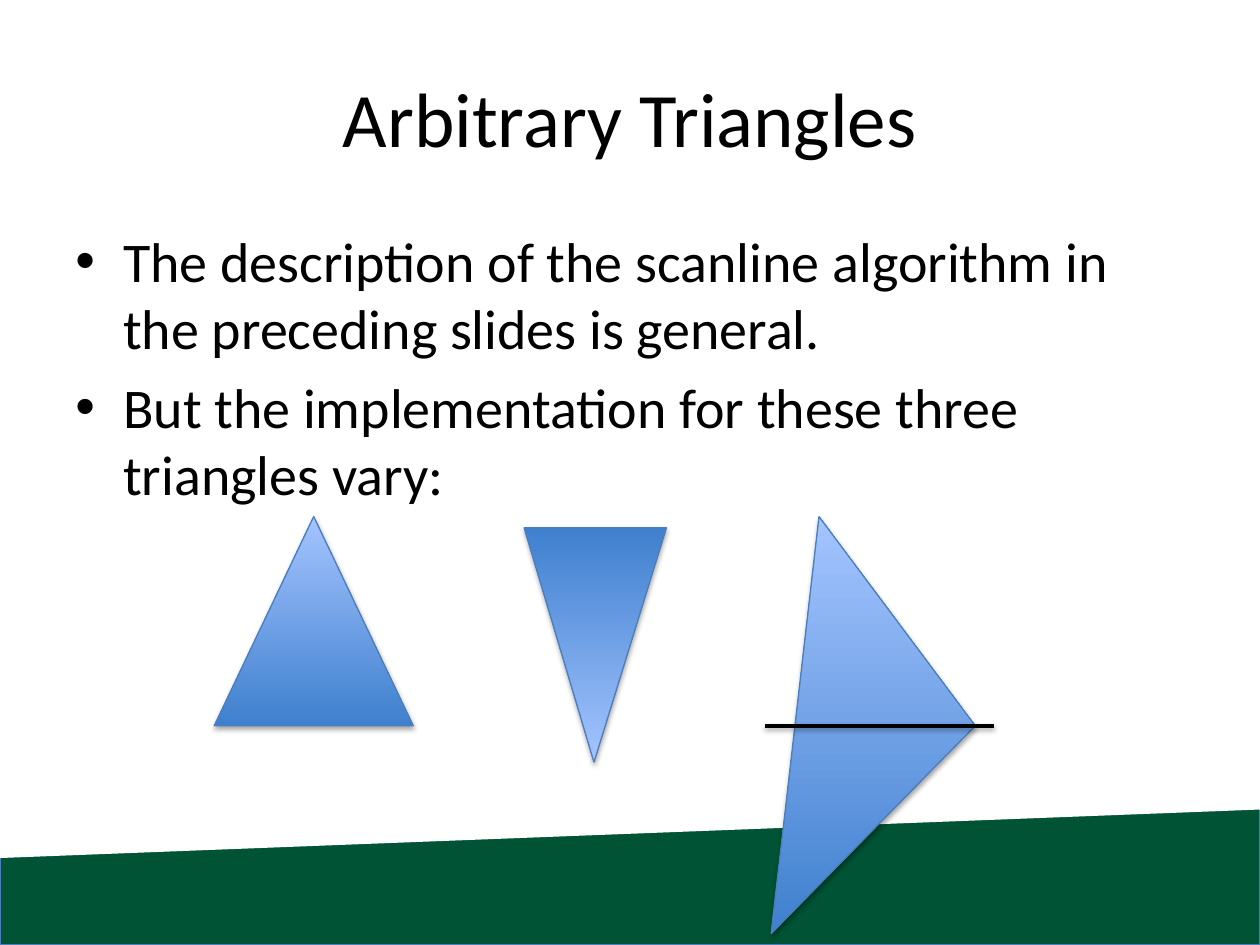
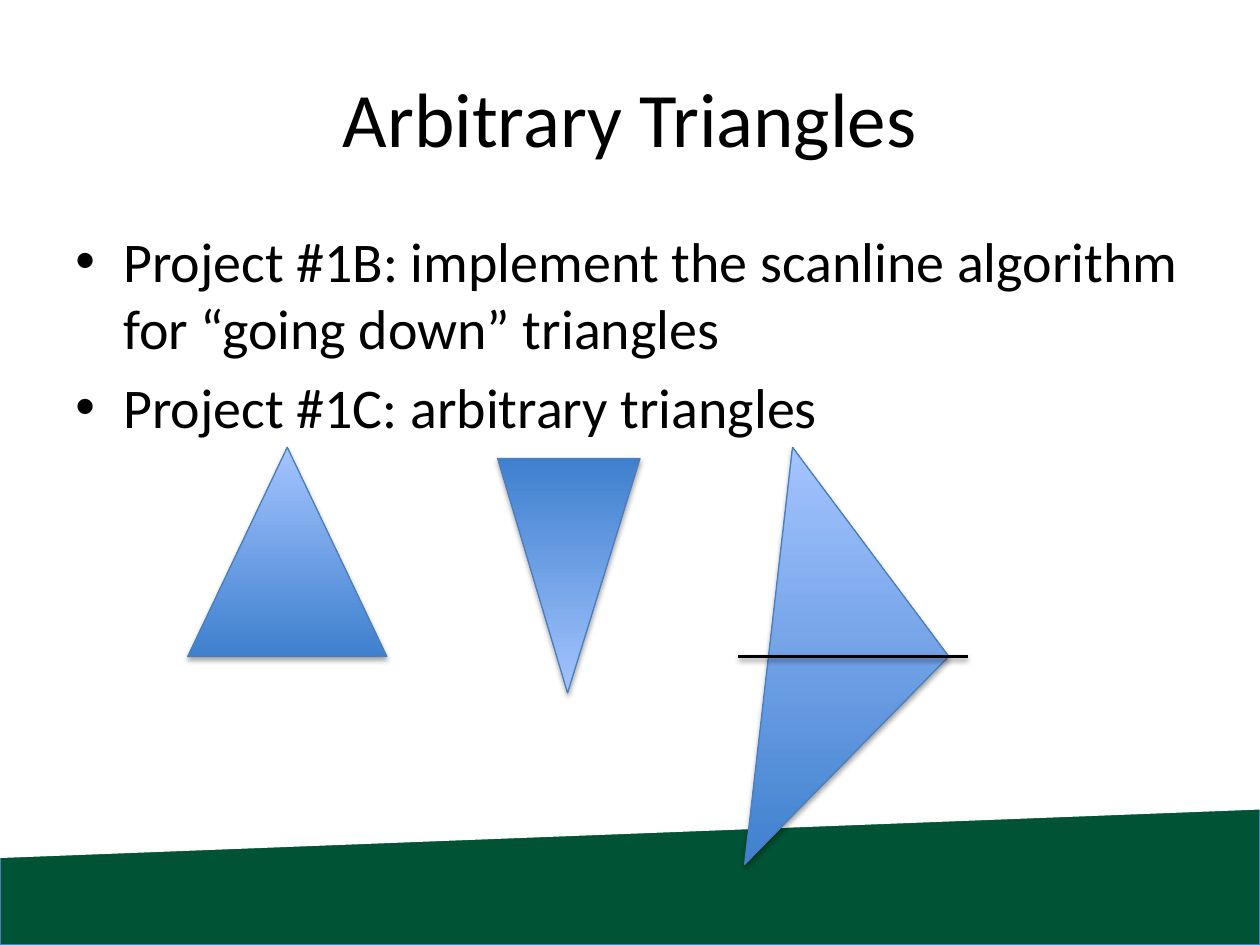
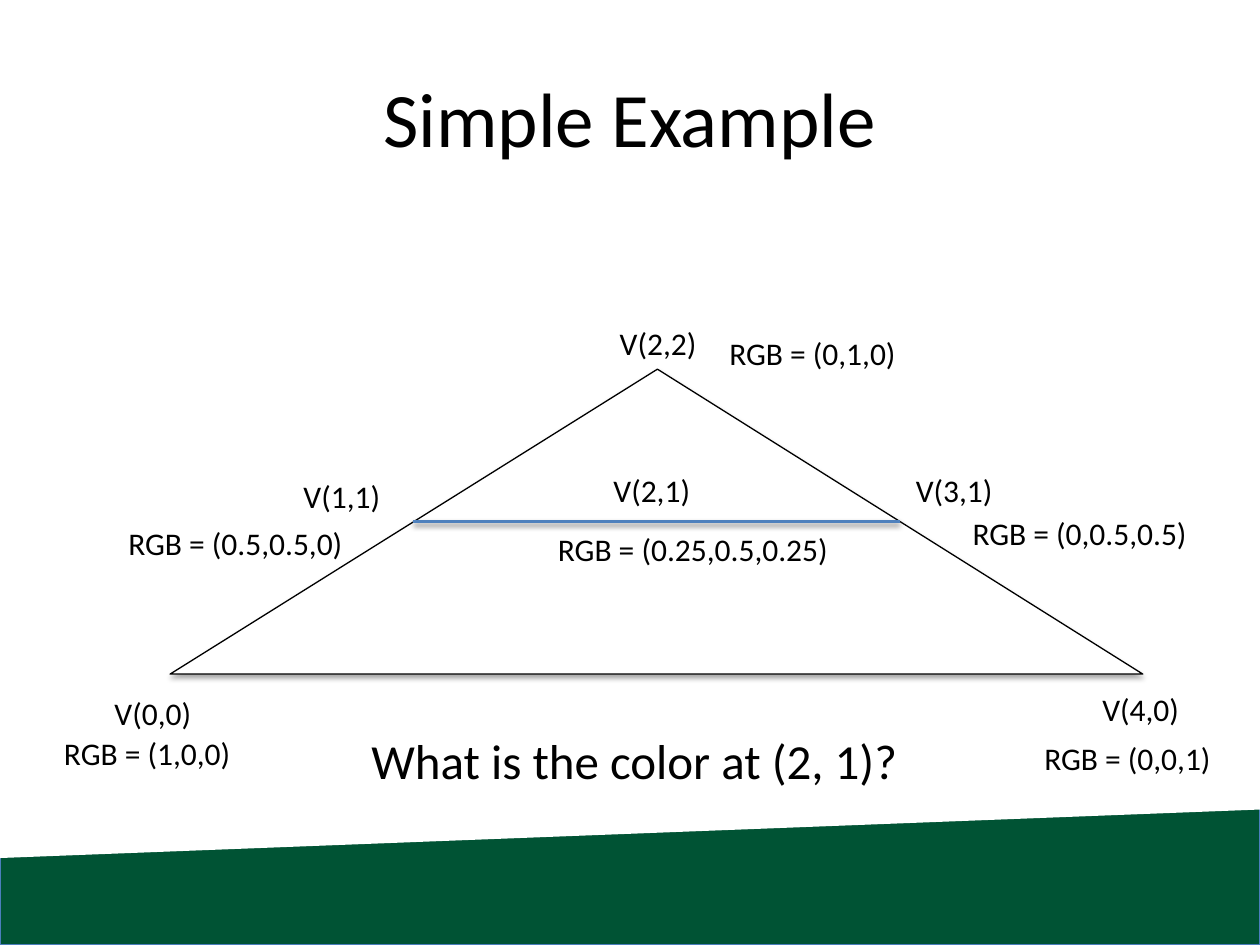
from lxml import etree
from pptx import Presentation
from pptx.dml.color import RGBColor
from pptx.enum import shapes, text
from pptx.oxml.ns import qn
from pptx.util import Inches, Pt

FONT = "Calibri"
BLACK, WHITE, GREEN = "000000", "FFFFFF", "005334"
BLUE, OUTLINE = "4F81BD", "4B7EBC"
GRADIENT = ("3F80CE", "A4C4FF")

# title, bullets, top left corner of the row of triangles
TRIANGLE_SLIDES = [
    ("Arbitrary Triangles",
     ["The description of the scanline algorithm in the preceding slides is general.",
      "But the implementation for these three triangles vary:"],
     (1.7, 4.1)),
    ("Arbitrary Triangles",
     ["Project #1B: implement the scanline algorithm for “going down” triangles",
      "Project #1C: arbitrary triangles"],
     (1.49, 3.55)),
]

EXAMPLE_TITLE = "Simple Example"
QUESTION = ("What is the color at (2, 1)?", 2.85, 5.75, 4.43)
# text, left, top, width
LABELS = [
    ("V(0,0)", 0.81, 5.46, 0.82),
    ("V(4,0)", 8.65, 5.43, 0.82),
    ("V(2,2)", 4.82, 2.52, 0.82),
    ("V(1,1)", 2.31, 3.74, 0.82),
    ("V(3,1)", 7.17, 3.69, 0.82),
    ("V(2,1)", 4.77, 3.69, 0.82),
    ("RGB = (1,0,0)", 0.41, 5.78, 1.54),
    ("RGB = (0,1,0)", 5.69, 2.6, 1.54),
    ("RGB = (0,0,1)", 8.19, 5.82, 1.54),
    ("RGB = (0.5,0.5,0)", 0.92, 4.11, 1.92),
    ("RGB = (0,0.5,0.5)", 7.62, 4.03, 1.98),
    ("RGB = (0.25,0.5,0.25)", 4.33, 4.16, 2.37),
]


def rgb(value):
    return RGBColor.from_string(value)


def add_shadow(sp, opacity=35, distance=1.8):
    """Add a soft shadow straight below; the line must be set before."""
    effects = etree.SubElement(sp._element.spPr, qn("a:effectLst"))
    shadow = etree.SubElement(effects, qn("a:outerShdw"), blurRad=str(Pt(3.1)),
                              dist=str(Pt(distance)), dir="5400000", rotWithShape="0")
    color = etree.SubElement(shadow, qn("a:srgbClr"), val=BLACK)
    etree.SubElement(color, qn("a:alpha"), val=str(opacity * 1000))


def style(sp, fill=None, line=OUTLINE):
    """Fill with one colour, or with the blue gradient when none is given."""
    if fill:
        sp.fill.solid()
        sp.fill.fore_color.rgb = rgb(fill)
    else:
        sp.fill.gradient()
        sp.fill.gradient_angle = 90
        for stop, color in zip(sp.fill.gradient_stops, GRADIENT):
            stop.color.rgb = rgb(color)
    sp.line.color.rgb = rgb(line)
    sp.line.width = Pt(0.75)
    add_shadow(sp)


def add_preset(slide, kind, left, top, width, height, adjust=None, flip=None):
    sp = slide.shapes.add_shape(kind, Inches(left), Inches(top), Inches(width), Inches(height))
    if adjust is not None:
        sp.adjustments[0] = adjust
    if flip:
        sp._element.spPr.find(qn("a:xfrm")).set(flip, "1")
    return sp


def add_scanline(slide, x1, x2, y, color):
    line = slide.shapes.add_connector(shapes.MSO_CONNECTOR.STRAIGHT, Inches(x1), Inches(y),
                                      Inches(x2), Inches(y))
    line.line.color.rgb = rgb(color)
    line.line.width = Pt(2)
    add_shadow(line, 38, 1.6)


def add_text(slide, paragraphs, left, top, width, height, size, wrap=True, bullets=False):
    box = slide.shapes.add_textbox(Inches(left), Inches(top), Inches(width), Inches(height))
    tf = box.text_frame
    tf.text = "\n".join(paragraphs)
    tf.word_wrap = wrap
    for i, p in enumerate(tf.paragraphs):
        if bullets:
            pPr = p._p.get_or_add_pPr()
            pPr.set("marL", str(Inches(0.38)))
            pPr.set("indent", str(Inches(-0.38)))
            etree.SubElement(pPr, qn("a:buFont"), typeface="Arial")
            etree.SubElement(pPr, qn("a:buChar"), char="•")
            if i:
                p.space_before = Pt(size * 0.2)
        for r in p.runs:
            r.font.name, r.font.size = FONT, Pt(size)
            r.font.color.rgb = rgb(BLACK)
    return tf


def add_base(prs, title):
    """Add a slide with the sloping green band and its title."""
    slide = prs.slides.add_slide(prs.slide_layouts[6])
    style(add_preset(slide, shapes.MSO_SHAPE.RECTANGLE, 0, 5.61, 10, 1.89), GREEN)
    slope = add_preset(slide, shapes.MSO_SHAPE.PARALLELOGRAM, 3.84, 0.65, 2.32, 10, 0.166, "flipH")
    slope.rotation = 90
    slope.fill.solid()
    slope.fill.fore_color.rgb = rgb(WHITE)
    slope.line.fill.background()
    slope.shadow.inherit = False
    tf = add_text(slide, [title], 0.5, 0.3, 9, 1.25, 44)
    tf.vertical_anchor = text.MSO_ANCHOR.MIDDLE
    tf.paragraphs[0].alignment = text.PP_ALIGN.CENTER
    return slide


def add_triangle_row(slide, x, y):
    triangle = shapes.MSO_SHAPE.ISOSCELES_TRIANGLE
    style(add_preset(slide, triangle, x, y, 1.58, 1.66))
    style(add_preset(slide, triangle, x + 2.46, y + 0.09, 1.13, 1.86, 0.491, "flipV"))
    corners = [(Inches(x + dx), Inches(y + dy))
               for dx, dy in [(4.8, 0), (6.04, 1.66), (4.42, 3.31)]]
    builder = slide.shapes.build_freeform(*corners[0])
    builder.add_line_segments(corners[1:], close=True)
    style(builder.convert_to_shape())
    add_scanline(slide, x + 6.19, x + 4.37, y + 1.66, BLACK)


def add_example(prs):
    slide = add_base(prs, EXAMPLE_TITLE)
    left, top, width, height = 1.35, 2.93, 7.72, 2.42
    style(add_preset(slide, shapes.MSO_SHAPE.ISOSCELES_TRIANGLE, left, top, width, height, 0.501),
          WHITE, BLACK)
    add_scanline(slide, left + width / 4, left + width * 3 / 4, top + height / 2, BLUE)
    for label, x, y, w in LABELS:
        add_text(slide, [label], x, y, w, 0.4, 18, wrap=False)
    question, x, y, w = QUESTION
    add_text(slide, [question], x, y, w, 0.57, 28, wrap=False)


def main():
    prs = Presentation()
    prs.slide_width, prs.slide_height = Inches(10), Inches(7.5)
    for title, bullets, corner in TRIANGLE_SLIDES:
        slide = add_base(prs, title)
        add_text(slide, bullets, 0.5, 1.75, 9, 4.95, 32, bullets=True)
        add_triangle_row(slide, *corner)
    add_example(prs)
    prs.save("out.pptx")


if __name__ == "__main__":
    main()
